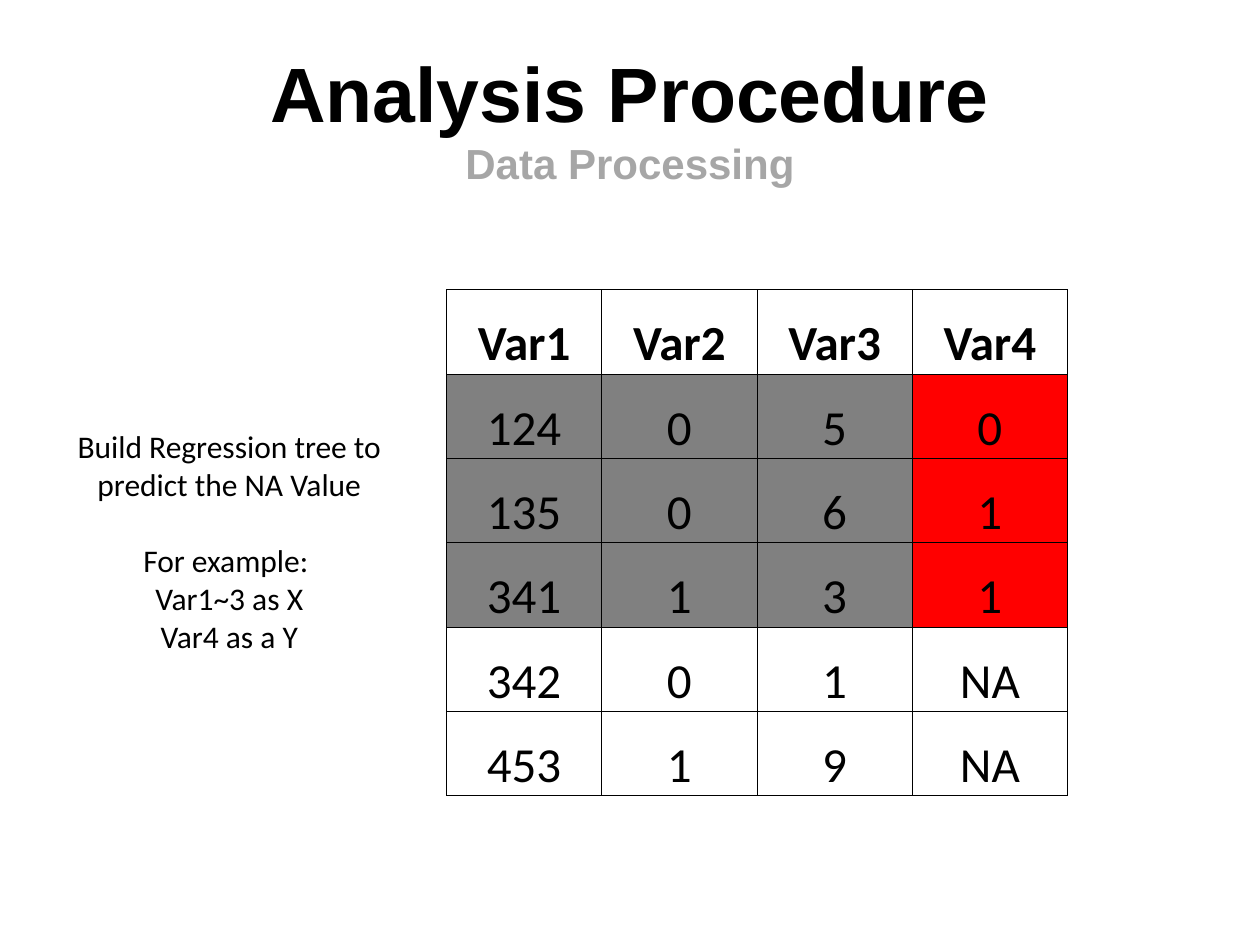
"""Build the Analysis Procedure slide: a title, a data table and a note on the regression tree."""
from lxml import etree
from pptx import Presentation
from pptx.dml.color import RGBColor
from pptx.enum import text
from pptx.oxml import ns
from pptx.util import Cm, Pt

COLORS = {"ink": "000000", "subtitle": "A6A6A6", "predictor": "808080", "target": "FF0000"}


def add_run(paragraph, words, **font_values):
    run = paragraph.add_run()
    run.text = words
    color = font_values.pop("color", "ink")
    run.font.color.rgb = RGBColor.from_string(COLORS[color])
    for name, value in font_values.items():
        setattr(run.font, name, value)


def add_border(cell, side):
    line = etree.SubElement(cell._tc.get_or_add_tcPr(), ns.qn(f"a:ln{side}"), w=str(Pt(0.5)))
    fill = etree.SubElement(line, ns.qn("a:solidFill"))
    etree.SubElement(fill, ns.qn("a:srgbClr"), val=COLORS["ink"])


deck = Presentation()
deck.slide_width, deck.slide_height = Cm(25.4), Cm(19.05)
slide = deck.slides.add_slide(deck.slide_layouts[6])

heading = slide.shapes.add_textbox(Cm(1.27), Cm(0.76), Cm(22.86), Cm(3.18)).text_frame
heading.word_wrap = True
heading.vertical_anchor = text.MSO_ANCHOR.MIDDLE
title = heading.paragraphs[0]
title.alignment = text.PP_ALIGN.CENTER
add_run(title, "Analysis Procedure", name="Arial", size=Pt(44), bold=True)
title.add_line_break()
add_run(title, "Data Processing", name="Arial", size=Pt(24), bold=True, color="subtitle")

records = [
    ["Var1", "Var2", "Var3", "Var4"],
    ["124", "0", "5", "0"],
    ["135", "0", "6", "1"],
    ["341", "1", "3", "1"],
    ["342", "0", "1", "NA"],
    ["453", "1", "9", "NA"],
]
cell_format = {
    "vertical_anchor": text.MSO_ANCHOR.BOTTOM,
    "margin_left": Cm(0.03),
    "margin_right": Cm(0.03),
    "margin_top": Cm(0.03),
    "margin_bottom": Cm(0),
}
data = slide.shapes.add_table(
    len(records), len(records[0]), Cm(9), Cm(5.84), Cm(12.52), Cm(10.2)
).table
for column in data.columns:
    column.width = Cm(3.13)
for row in data.rows:
    row.height = Cm(1.7)
for row_index, record in enumerate(records):
    is_header = row_index == 0
    is_training = not is_header and record[-1] != "NA"
    for column_index, value in enumerate(record):
        cell = data.cell(row_index, column_index)
        for name, setting in cell_format.items():
            setattr(cell, name, setting)
        for side in "LRTB":
            add_border(cell, side)
        if is_training:
            role = "target" if column_index == len(record) - 1 else "predictor"
            cell.fill.solid()
            cell.fill.fore_color.rgb = RGBColor.from_string(COLORS[role])
        else:
            cell.fill.background()
        entry = cell.text_frame.paragraphs[0]
        entry.alignment = text.PP_ALIGN.CENTER
        add_run(entry, value, name="Calibri", size=Pt(28), bold=is_header)

note = slide.shapes.add_textbox(Cm(1.27), Cm(8.48), Cm(6.71), Cm(4.88)).text_frame
note.word_wrap = True
note_lines = [
    ("Build Regression tree to predict the NA Value", 0),
    ("For example: ", 22),
    ("Var1~3 as X", 0),
    ("Var4 as a Y", 0),
]
for index, (words, gap) in enumerate(note_lines):
    line = note.add_paragraph() if index else note.paragraphs[0]
    line.alignment = text.PP_ALIGN.CENTER
    line.space_before = Pt(gap)
    add_run(line, words, name="Calibri", size=Pt(18))

deck.save("out.pptx")
